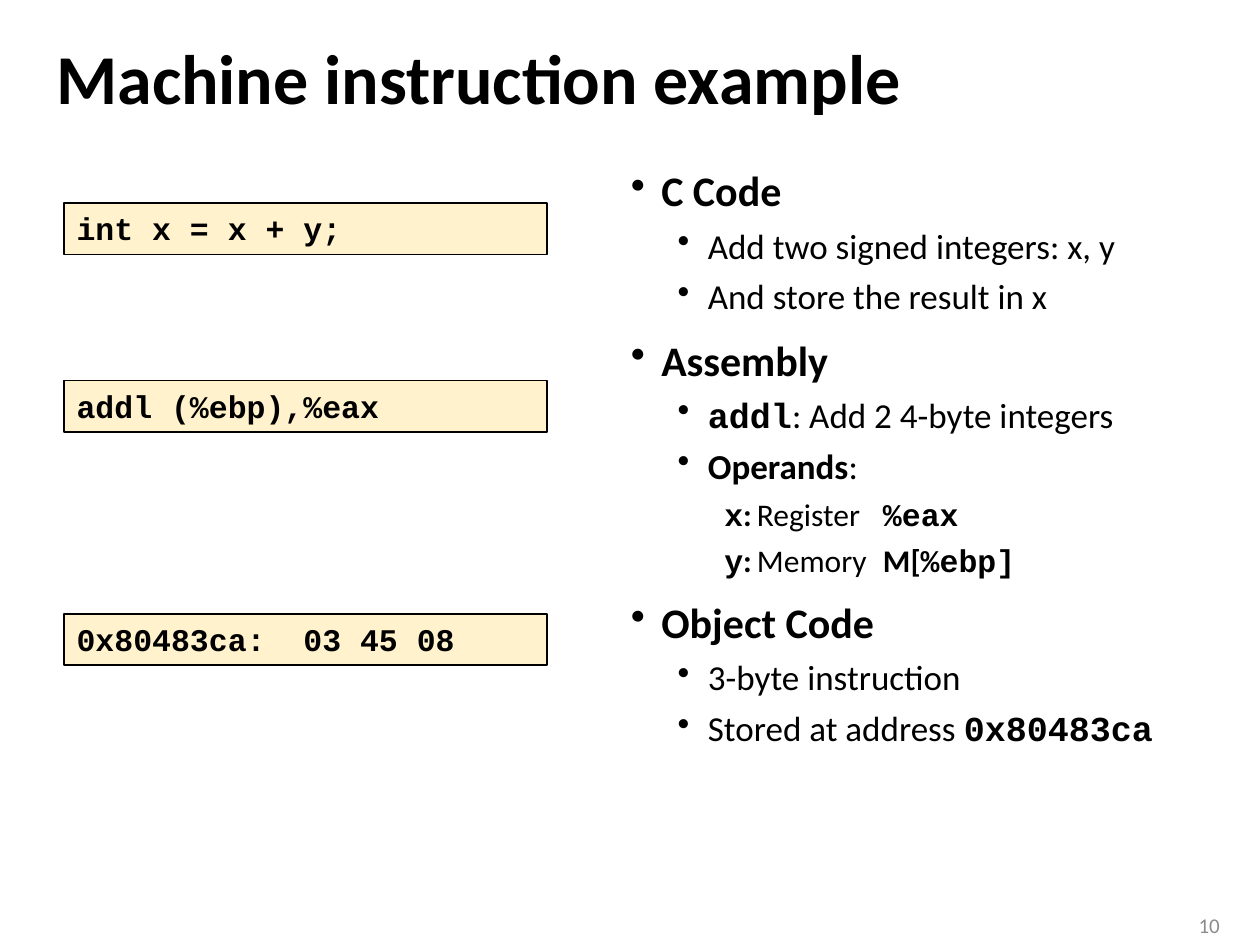
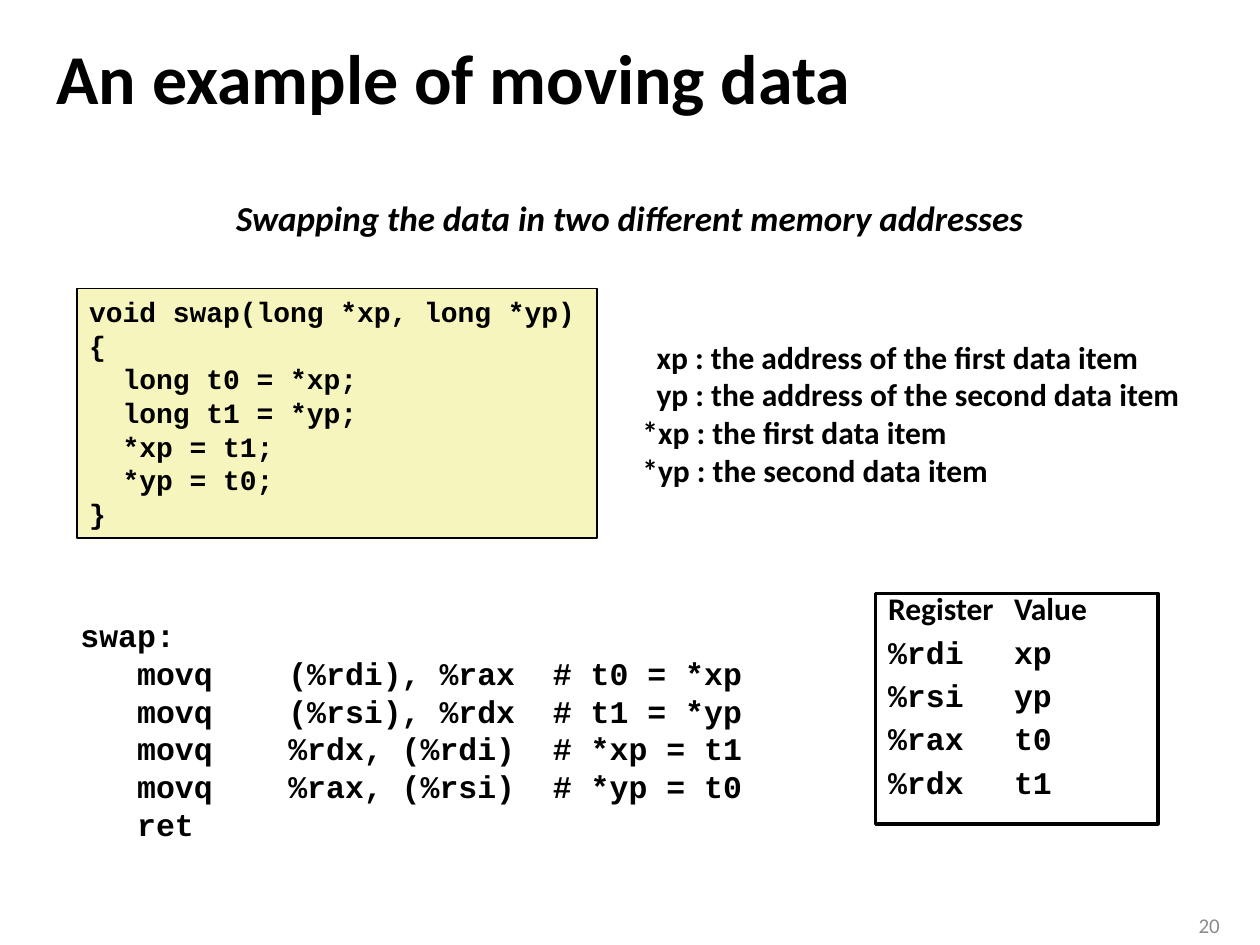
from lxml import etree
from pptx import Presentation
from pptx.dml.color import RGBColor
from pptx.enum import shapes, text
from pptx.oxml import ns
from pptx.util import Pt

BLACK = RGBColor(0x00, 0x00, 0x00)
GRAY = RGBColor(0x8C, 0x8C, 0x8C)
CREAM = RGBColor(0xFF, 0xF2, 0xCC)
YELLOW = RGBColor(0xF6, 0xF5, 0xBD)
SANS = "Calibri"
MONO = "Courier New"
LEFT, RIGHT, CENTER = text.PP_ALIGN.LEFT, text.PP_ALIGN.RIGHT, text.PP_ALIGN.CENTER
TOP, MIDDLE = text.MSO_ANCHOR.TOP, text.MSO_ANCHOR.MIDDLE

# Outline levels: keyword arguments for add_paragraph
HEADING = dict(size=24, bold=True, before=10, margin=17.3, indent=-17.3, bullet="•")
POINT = dict(size=20, before=5, margin=43.9, indent=-17.3, bullet="•")
OPERAND = dict(size=18, before=5, indent=53.3, tabs=(135.5, 206))


def add_paragraph(shape, content, size=18, font=SANS, bold=False, italic=False,
                  color=BLACK, align=LEFT, spacing=None, before=None,
                  margin=0, indent=0, bullet=None, tabs=()):
    """Append a paragraph; content is a string or a list of (text, font, bold) runs."""
    frame = shape.text_frame
    paragraph = frame.paragraphs[0]
    if paragraph.runs:
        paragraph = frame.add_paragraph()
    paragraph.alignment = align
    if spacing is not None:
        paragraph.line_spacing = spacing
    if before is not None:
        paragraph.space_before = Pt(before)

    # Indents, bullet and tab stops
    properties = paragraph._p.get_or_add_pPr()
    properties.set("marL", str(Pt(margin)))
    properties.set("indent", str(Pt(indent)))
    if bullet:
        etree.SubElement(properties, ns.qn("a:buChar"), char=bullet)
    else:
        etree.SubElement(properties, ns.qn("a:buNone"))
    if tabs:
        tab_list = etree.SubElement(properties, ns.qn("a:tabLst"))
        for position in tabs:
            etree.SubElement(tab_list, ns.qn("a:tab"), pos=str(Pt(position)), algn="l")

    runs = [(content, font, bold)] if isinstance(content, str) else content
    for run_text, run_font, run_bold in runs:
        run = paragraph.add_run()
        run.text = run_text
        run.font.name = run_font
        run.font.size = Pt(size)
        run.font.bold = run_bold
        run.font.italic = italic
        run.font.color.rgb = color


class Deck:
    def __init__(self):
        self.presentation = Presentation()
        self.presentation.slide_width = Pt(720)
        self.presentation.slide_height = Pt(540)
        self.slide = None

    def new_slide(self, title, number):
        self.slide = self.presentation.slides.add_slide(self.presentation.slide_layouts[6])
        self.text_box((25.2, 13.7, 669, 66.2), [title], anchor=MIDDLE,
                      size=40, bold=True, spacing=0.9)
        self.text_box((667.4, 517.7, 36.7, 22.3), [str(number)], anchor=MIDDLE,
                      size=12, color=GRAY, align=RIGHT)

    def fill_frame(self, shape, lines, anchor, style):
        shape.text_frame.word_wrap = True
        shape.text_frame.vertical_anchor = anchor
        for line in lines:
            add_paragraph(shape, line, **style)
        return shape

    def text_box(self, box, lines, anchor=TOP, **style):
        shape = self.slide.shapes.add_textbox(*map(Pt, box))
        return self.fill_frame(shape, lines, anchor, style)

    def panel(self, box, lines, fill=None, line_width=1, **style):
        shape = self.slide.shapes.add_shape(shapes.MSO_SHAPE.RECTANGLE, *map(Pt, box))
        shape.shadow.inherit = False
        if fill is None:
            shape.fill.background()
        else:
            shape.fill.solid()
            shape.fill.fore_color.rgb = fill
        shape.line.color.rgb = BLACK
        shape.line.width = Pt(line_width)
        return self.fill_frame(shape, lines, TOP, style)

    def outline(self, box, items):
        shape = self.text_box(box, [])
        for level, content in items:
            add_paragraph(shape, content, **level)


def instruction_slide(deck):
    deck.new_slide("Machine instruction example", 10)

    # Explanation
    deck.outline((353.5, 90.7, 341.3, 419.8), [
        (HEADING, "C Code"),
        (POINT, "Add two signed integers: x, y"),
        (POINT, "And store the result in x"),
        (HEADING, "Assembly"),
        (POINT, [("addl", MONO, True), (": Add 2 4-byte integers", SANS, False)]),
        (POINT, [("Operands", SANS, True), (":", SANS, False)]),
        (OPERAND, [("x", MONO, True), (":", SANS, True),
                   ("\tRegister\t", SANS, False), ("%eax", MONO, True)]),
        (OPERAND, [("y", MONO, True), (":", SANS, True), ("\tMemory\t", SANS, False),
                   ("M[", SANS, True), ("%ebp]", MONO, True)]),
        (HEADING, "Object Code"),
        (POINT, "3-byte instruction"),
        (POINT, [("Stored at address ", SANS, False), ("0x80483ca", MONO, True)]),
    ])

    # The same instruction in three forms
    for top, code in ((116, "int x = x + y;"),
                      (217.5, "addl (%ebp),%eax"),
                      (350.7, "0x80483ca:  03 45 08")):
        deck.panel((36.7, top, 275.8, 29.5), [code], CREAM, font=MONO, bold=True)


def swap_slide(deck):
    deck.new_slide("An example of moving data", 20)
    deck.text_box((126, 108.7, 468, 31.7),
                  ["Swapping the data in two different memory addresses"],
                  size=20, bold=True, italic=True, align=CENTER)

    # Register table
    deck.panel((500.4, 339.1, 161.3, 131.8), [[("Register\tValue", SANS, True)],
               "%rdi\txp", "%rsi\typ", "%rax\tt0", "%rdx\tt1"],
               line_width=2, font=MONO, bold=True, spacing=0.7, before=9.7, tabs=(95,))

    # Assembly and C code
    deck.text_box((38.9, 348.5, 462, 138), [
        "swap:",
        "   movq    (%rdi), %rax  # t0 = *xp",
        "   movq    (%rsi), %rdx  # t1 = *yp",
        "   movq    %rdx, (%rdi)  # *xp = t1",
        "   movq    %rax, (%rsi)  # *yp = t0",
        "   ret",
    ], font=MONO, bold=True)
    deck.panel((43.9, 164.9, 297.4, 142.6), [
        "void swap(long *xp, long *yp)",
        "{",
        "  long t0 = *xp;",
        "  long t1 = *yp;",
        "  *xp = t1;",
        "  *yp = t0;",
        "}",
    ], YELLOW, size=16, font=MONO, bold=True)

    # Meaning of the pointers
    legend = deck.text_box((360, 189.4, 332.6, 94.3), [
        "xp : the address of the first data item",
        "yp : the address of the second data item",
    ], bold=True, margin=8.1)
    for line in ("*xp : the first data item", "*yp : the second data item"):
        add_paragraph(legend, line, bold=True)


def main():
    deck = Deck()
    instruction_slide(deck)
    swap_slide(deck)
    deck.presentation.save("out.pptx")


if __name__ == "__main__":
    main()
